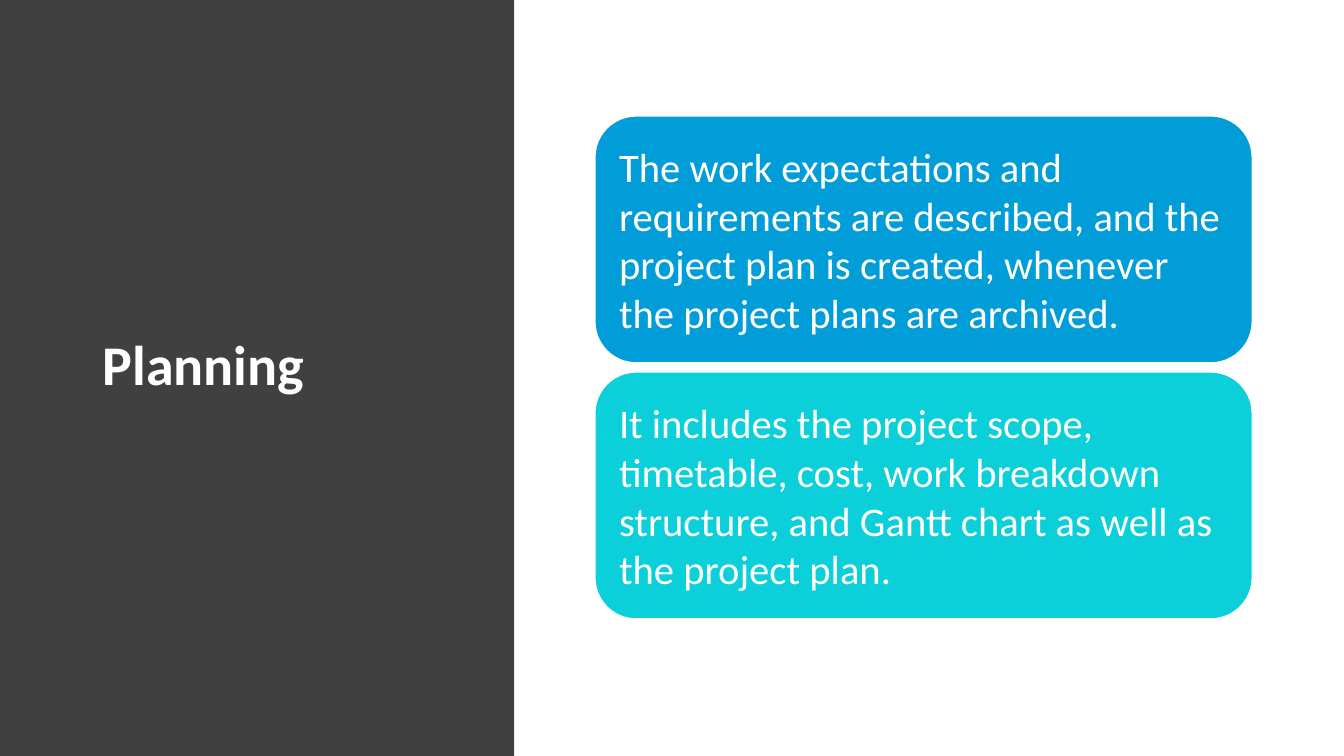
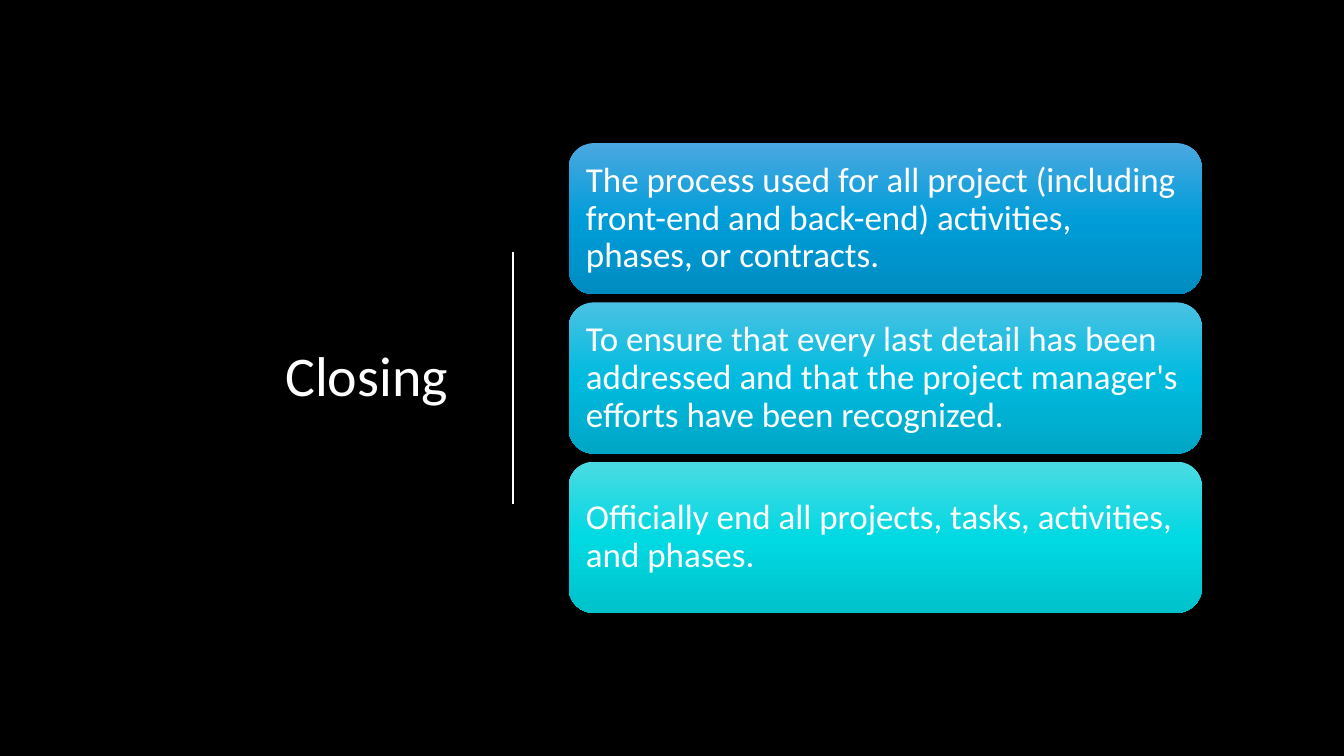
from copy import deepcopy
from dataclasses import dataclass

from lxml import etree
from pptx import Presentation
from pptx.dml.color import RGBColor
from pptx.enum import shapes, text
from pptx.oxml.ns import qn
from pptx.util import Inches, Pt


@dataclass(frozen=True)
class Theme:
    font: str = "Calibri"
    white: str = "FFFFFF"
    black: str = "000000"
    panel: str = "404040"
    title_size: int = 40
    title_spacing: float = 0.9


THEME = Theme()

PLANNING = {
    "title": "Planning",
    "cards": [
        ("The work expectations and requirements are described, and the project plan "
         "is created, whenever the project plans are archived.", ["009DD9"]),
        ("It includes the project scope, timetable, cost, work breakdown structure, "
         "and Gantt chart as well as the project plan.", ["0BD0D9"]),
    ],
}
CLOSING = {
    "title": "Closing",
    "cards": [
        ("The process used for all project (including front-end and back-end) "
         "activities, phases, or contracts.", ["4BA8E0", "009DD9", "008CC1"]),
        ("To ensure that every last detail has been addressed and that the project "
         "manager's efforts have been recognized.", ["4BC2E3", "00BBDF", "00A6C6"]),
        ("Officially end all projects, tasks, activities, and phases.",
         ["4BDAE2", "01D9E3", "00C2CB"]),
    ],
}


def rgb(color):
    return RGBColor.from_string(color)


def write(shape, words, size, bold=False, align=text.PP_ALIGN.LEFT,
          spacing=1.0, inset=None):
    frame = shape.text_frame
    frame.word_wrap = True
    frame.vertical_anchor = text.MSO_ANCHOR.MIDDLE
    if inset is not None:
        frame.margin_left = frame.margin_right = Inches(inset)
        frame.margin_top = frame.margin_bottom = Inches(inset)
    para = frame.paragraphs[0]
    para.alignment = align
    para.line_spacing = spacing
    span = para.add_run()
    span.text = words
    span.font.name = THEME.font
    span.font.size = Pt(size)
    span.font.bold = bold
    span.font.color.rgb = rgb(THEME.white)


def paint(shape, colors):
    """Fill with one colour, or with an even top-to-bottom gradient of several."""
    fill = shape.fill
    if len(colors) == 1:
        fill.solid()
        fill.fore_color.rgb = rgb(colors[0])
        return
    fill.gradient()
    fill.gradient_angle = 270
    stops = next(shape._element.spPr.iter(qn("a:gsLst")))
    while len(stops) < len(colors):
        stops.append(deepcopy(stops[0]))
    for index, (stop, color) in enumerate(zip(fill.gradient_stops, colors)):
        stop.position = index / (len(colors) - 1)
        stop.color.rgb = rgb(color)


def add_block(page, kind, left, top, width, height, colors, outline=None):
    block = page.shapes.add_shape(
        kind, Inches(left), Inches(top), Inches(width), Inches(height))
    block.shadow.inherit = False
    paint(block, colors)
    if outline:
        block.line.color.rgb = rgb(outline)
        block.line.width = Pt(1)
    else:
        block.line.fill.background()
    return block


def add_title(page, words, left, top, width, height, **style):
    box = page.shapes.add_textbox(
        Inches(left), Inches(top), Inches(width), Inches(height))
    write(box, words, THEME.title_size, spacing=THEME.title_spacing, **style)


def add_cards(page, cards, left, top, width, height, gap, size,
              inset, spacing=1.0, outline=None):
    for row, (words, colors) in enumerate(cards):
        card = add_block(page, shapes.MSO_SHAPE.ROUNDED_RECTANGLE, left,
                         top + row * (height + gap), width, height, colors, outline)
        write(card, words, size, spacing=spacing, inset=inset)


def add_rule(page, x, top, bottom):
    rule = page.shapes.add_connector(
        shapes.MSO_CONNECTOR.STRAIGHT, Inches(x), Inches(top), Inches(x), Inches(bottom))
    rule.line.color.rgb = rgb(THEME.white)
    rule.line.width = Pt(1.25)
    etree.SubElement(rule._element.spPr, qn("a:effectLst"))


def add_page(deck, background):
    page = deck.slides.add_slide(deck.slide_layouts[6])
    page.background.fill.solid()
    page.background.fill.fore_color.rgb = rgb(background)
    return page


def build_planning(deck):
    page = add_page(deck, THEME.white)
    add_block(page, shapes.MSO_SHAPE.RECTANGLE, 0, 0, 5.1, 7.5, [THEME.panel])
    add_title(page, PLANNING["title"], 0.92, 0.68, 3.67, 5.92, bold=True)
    add_cards(page, PLANNING["cards"], 5.9, 1.15, 6.52, 2.45, gap=0.09,
              size=29, inset=0.12, outline=THEME.white)


def build_closing(deck):
    page = add_page(deck, THEME.black)
    add_title(page, CLOSING["title"], 0.92, 1.17, 3.62, 5.17,
              align=text.PP_ALIGN.RIGHT)
    add_rule(page, 5.09, 2.5, 5)
    add_cards(page, CLOSING["cards"], 5.64, 1.42, 6.28, 1.5, gap=0.08,
              size=25, inset=0.1, spacing=0.9)


def main():
    deck = Presentation()
    deck.slide_width = Inches(13.33)
    deck.slide_height = Inches(7.5)
    build_planning(deck)
    build_closing(deck)
    deck.save("out.pptx")


if __name__ == "__main__":
    main()
